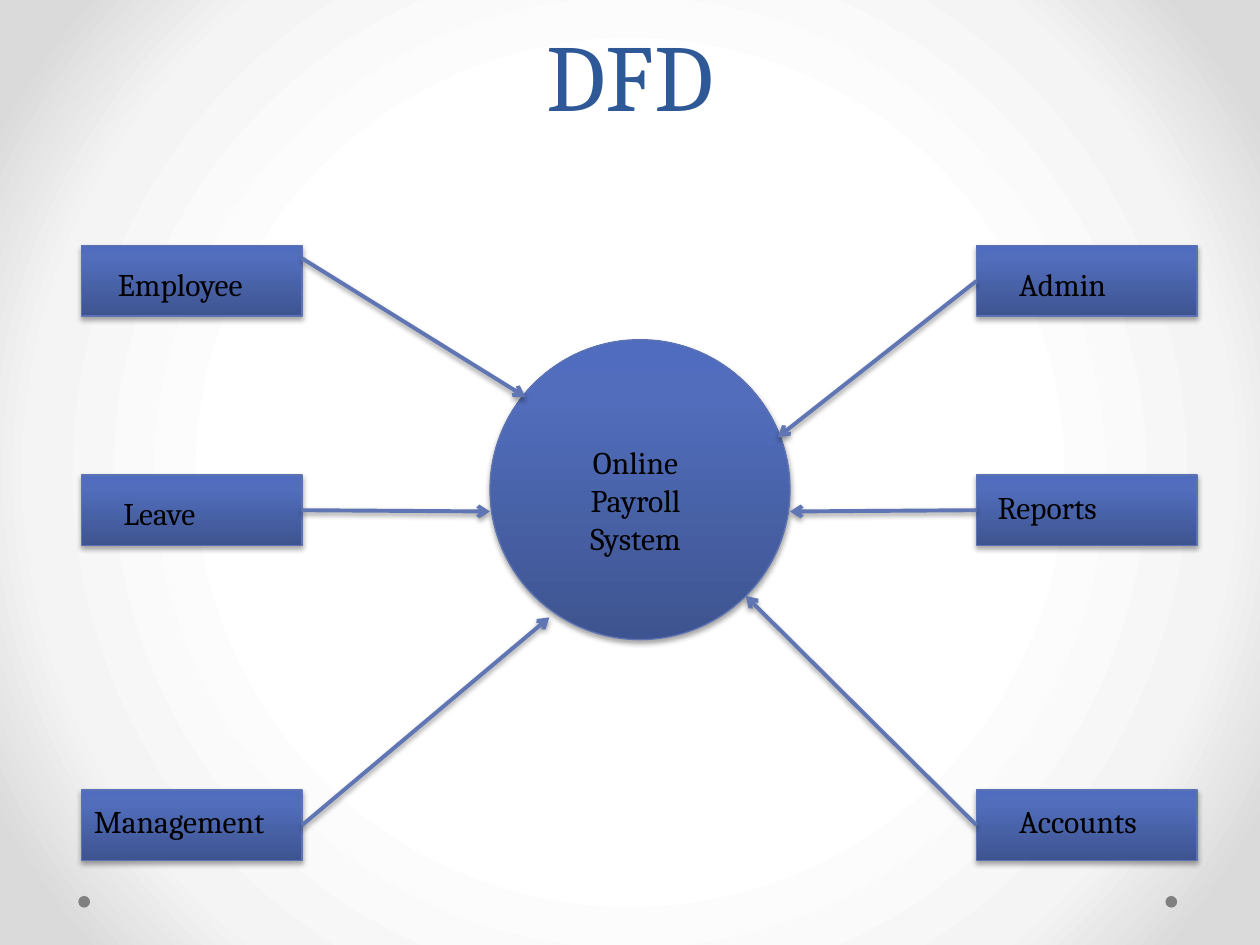
from dataclasses import dataclass

from lxml.etree import SubElement
from pptx import Presentation
from pptx.dml.color import RGBColor
from pptx.enum.shapes import MSO_CONNECTOR as Connector, MSO_SHAPE as Preset
from pptx.enum.text import MSO_ANCHOR as Anchor, MSO_AUTO_SIZE as AutoSize, PP_ALIGN as Align
from pptx.oxml.ns import qn
from pptx.util import Pt

FONT = "Cambria"
BOX_WIDTH, BOX_HEIGHT = 126, 40.3
LEFT_X, RIGHT_X = 46.6, 558
ROWS = (140.4, 271.4, 451.4)
SHADES = ((0, "3E5490"), (80, "516DBB"), (100, "4F6CBE"))
BACKDROP = ((0, "FFFFFF"), (50, "FFFFFF"), (76, "F4F4F4"), (92, "DADADA"), (100, "DADADA"))
LEFT_SIDE, RIGHT_SIDE = 1, 3


@dataclass(frozen=True)
class Frame:
    left: float
    top: float
    width: float
    height: float

    def lengths(self) -> tuple:
        return Pt(self.left), Pt(self.top), Pt(self.width), Pt(self.height)


@dataclass(frozen=True)
class Entity:
    name: str
    row: int
    on_left: bool
    label: Frame
    target: tuple
    start_y: float | None = None


ENTITIES = (
    Entity("Employee", 0, True, Frame(60.3, 147.6, 95, 29), (300.2, 226.8), 147.6),
    Entity("Leave", 1, True, Frame(63.4, 278.8, 95, 29), (280, 292.3)),
    Entity("Management", 2, True, Frame(46.6, 454.6, 126, 29), (313.9, 352.8)),
    Entity("Admin", 0, False, Frame(575.3, 147.6, 95, 29), (444.5, 249.8)),
    Entity("Reports", 1, False, Frame(563, 275.3, 95, 29), (451.4, 292.3)),
    Entity("Accounts", 2, False, Frame(575.3, 454.6, 95, 29), (426.2, 340.6)),
)


def color(value: str) -> RGBColor:
    return RGBColor.from_string(value)


def apply(target, values: dict) -> None:
    for name, value in values.items():
        setattr(target, name, value)


def add_gradient(parent, stops: tuple, angle: int | None = None) -> None:
    solid = parent.find(qn("a:solidFill"))
    gradient = SubElement(parent, qn("a:gradFill"), rotWithShape="1")
    parent.replace(solid, gradient)
    stop_list = SubElement(gradient, qn("a:gsLst"))
    for position, value in stops:
        stop = SubElement(stop_list, qn("a:gs"), pos=str(position * 1000))
        SubElement(stop, qn("a:srgbClr"), val=value)
    if angle is None:
        circle = SubElement(gradient, qn("a:path"), path="circle")
        SubElement(circle, qn("a:fillToRect"), l="50000", t="50000", r="50000", b="50000")
    else:
        SubElement(gradient, qn("a:lin"), ang=str(angle * 60000), scaled="0")


def add_shadow(properties, distance: float, opacity: int) -> None:
    effects = SubElement(properties, qn("a:effectLst"))
    shadow = SubElement(effects, qn("a:outerShdw"), blurRad=str(Pt(3.1)),
                        dist=str(Pt(distance)), dir="5400000", rotWithShape="0")
    black = SubElement(shadow, qn("a:srgbClr"), val="000000")
    SubElement(black, qn("a:alpha"), val=str(opacity * 1000))


def add_dot(page, left: float) -> None:
    dot = page.shapes.add_shape(Preset.OVAL, *Frame(left, 512, 6.7, 6.7).lengths())
    dot.shadow.inherit = False
    dot.fill.solid()
    dot.fill.fore_color.rgb = color("808080")
    dot.line.fill.background()


def add_node(page, preset: Preset, frame: Frame):
    node = page.shapes.add_shape(preset, *frame.lengths())
    node.fill.solid()
    node.line.color.rgb = color("5C72B2")
    node.line.width = Pt(0.75)
    properties = node._element.spPr
    add_gradient(properties, SHADES, 270)
    add_shadow(properties, 1.8, 35)
    return node


def write(frame, text: str, size: int, value: str, para_format: dict) -> None:
    para = frame.paragraphs[0]
    apply(para, para_format)
    span = para.add_run()
    span.text = text
    apply(span.font, {"name": FONT, "size": Pt(size)})
    span.font.color.rgb = color(value)


def add_label(page, text: str, frame: Frame, align: Align = Align.LEFT) -> None:
    label = page.shapes.add_textbox(*frame.lengths()).text_frame
    apply(label, {"word_wrap": True, "auto_size": AutoSize.SHAPE_TO_FIT_TEXT})
    write(label, text, 18, "000000", {"alignment": align})


def add_arrow(page, entity: Entity, box) -> None:
    start_x = LEFT_X + BOX_WIDTH if entity.on_left else RIGHT_X
    start_y = entity.start_y or ROWS[entity.row] + BOX_HEIGHT / 2
    end_x, end_y = entity.target
    arrow = page.shapes.add_connector(
        Connector.STRAIGHT, Pt(start_x), Pt(start_y), Pt(end_x), Pt(end_y))
    if entity.start_y is None:
        arrow.begin_connect(box, RIGHT_SIDE if entity.on_left else LEFT_SIDE)
    arrow.line.color.rgb = color("6076B4")
    arrow.line.width = Pt(2.25)
    SubElement(arrow.line._get_or_add_ln(), qn("a:tailEnd"), type="arrow")
    add_shadow(arrow._element.spPr, 1.6, 38)


def main() -> None:
    deck = Presentation()
    apply(deck, {"slide_width": Pt(720), "slide_height": Pt(540)})
    page = deck.slides.add_slide(deck.slide_layouts[5])
    page.background.fill.solid()
    add_gradient(page._element.cSld.bg.bgPr, BACKDROP)

    title = page.shapes.title
    apply(title, dict(zip(("left", "top", "width", "height"),
                          Frame(36, -48, 648, 126).lengths())))
    apply(title.text_frame, {"vertical_anchor": Anchor.BOTTOM, "auto_size": AutoSize.NONE})
    write(title.text_frame, "DFD", 54, "2F5897",
          {"alignment": Align.CENTER, "line_spacing": Pt(58)})

    for left in (666, 44.8):
        add_dot(page, left)

    add_node(page, Preset.OVAL, Frame(280, 194.1, 171.4, 171.4))
    boxes = [
        add_node(page, Preset.RECTANGLE,
                 Frame(LEFT_X if entity.on_left else RIGHT_X, ROWS[entity.row],
                       BOX_WIDTH, BOX_HEIGHT))
        for entity in ENTITIES
    ]
    add_label(page, "Online Payroll System", Frame(306.7, 249.8, 113, 72.7), Align.CENTER)
    for entity in ENTITIES:
        add_label(page, entity.name, entity.label)
    for entity, box in zip(ENTITIES, boxes):
        add_arrow(page, entity, box)

    deck.save("out.pptx")


if __name__ == "__main__":
    main()
